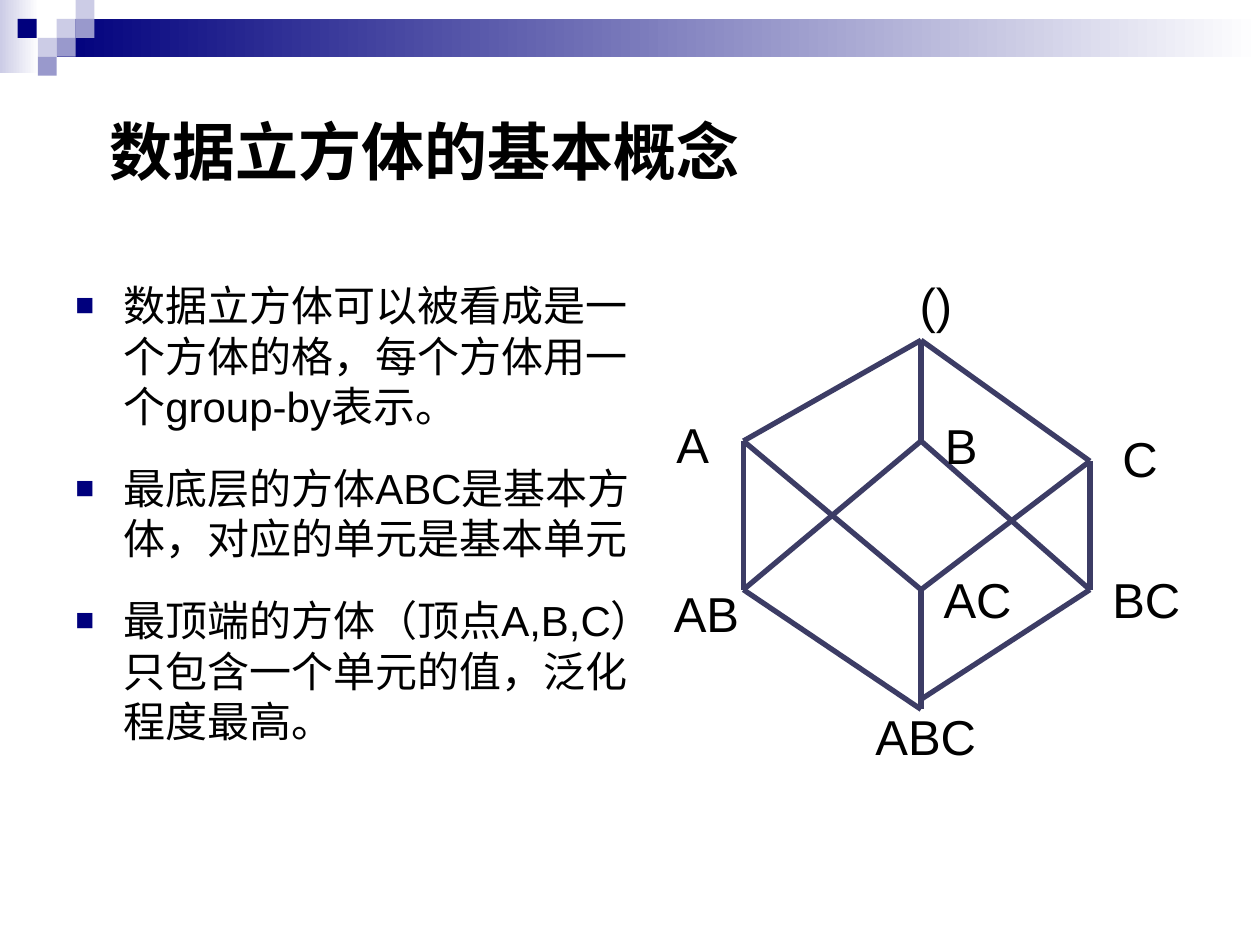
from lxml import etree
from pptx import Presentation
from pptx.dml.color import RGBColor
from pptx.enum.shapes import MSO_CONNECTOR, MSO_SHAPE
from pptx.enum.text import MSO_AUTO_SIZE
from pptx.oxml.ns import qn
from pptx.util import Inches, Pt

RECT = MSO_SHAPE.RECTANGLE
STRAIGHT = MSO_CONNECTOR.STRAIGHT
FIT_SHAPE = MSO_AUTO_SIZE.SHAPE_TO_FIT_TEXT

NAVY = RGBColor(0x00, 0x00, 0x7D)
LILAC = RGBColor(0xCC, 0xCC, 0xE6)
VIOLET = RGBColor(0x99, 0x99, 0xCC)
EDGE = RGBColor(0x3C, 0x3C, 0x65)
BLACK = RGBColor(0, 0, 0)
WHITE = RGBColor(0xFF, 0xFF, 0xFF)
LATIN, CJK = "Arial", "Noto Sans CJK SC"

TITLE = "数据立方体的基本概念"
BULLETS = [
    "数据立方体可以被看成是一个方体的格，每个方体用一个group-by表示。",
    "最底层的方体ABC是基本方体，对应的单元是基本单元",
    "最顶端的方体（顶点A,B,C）只包含一个单元的值，泛化程度最高。",
]

# Header: fading bars (left, top, width, height, colour) and squares (left, top, colour)
BARS = [(0, 0, 0.31, 0.58, LILAC), (0.45, 0.15, 9.55, 0.3, NAVY)]
SIDE = 0.15
SQUARES = [
    (0.45, 0.15, LILAC), (0.6, 0, LILAC), (0.6, 0.15, VIOLET), (0.3, 0.3, LILAC),
    (0.14, 0.15, NAVY), (0.45, 0.3, VIOLET), (0.3, 0.45, VIOLET),
]

# Lattice: name -> (vertex, label left and top, label width)
LEFT, MID, RIGHT = 5.9, 7.31, 8.65
LABEL_H = 0.57
NODES = {
    "()": ((MID, 2.7), (7.2, 2.13), 0.46),
    "A": ((LEFT, 3.5), (5.27, 3.24), 0.46),
    "B": ((MID, 3.5), (7.4, 3.25), 0.46),
    "C": ((RIGHT, 3.66), (8.81, 3.35), 0.48),
    "AB": ((LEFT, 4.68), (5.25, 4.58), 0.72),
    "AC": ((MID, 4.68), (7.39, 4.47), 0.74),
    "BC": ((RIGHT, 4.68), (8.73, 4.47), 0.75),
    "ABC": ((MID, 5.63), (6.85, 5.56), 1),
}
EDGES = [
    ("()", "A"), ("()", "C"), ("()", "B"), ("A", "AB"), ("B", "AB"), ("C", "BC"),
    ("B", "BC"), ("A", "AC"), ("C", "AC"), ("AB", "ABC"), ("AC", "ABC"), ("BC", "ABC"),
]
END_SHIFT = {("BC", "ABC"): -0.08}  # this edge meets the bottom stem a little higher


def add_rect(shapes, x, y, w, h):
    sp = shapes.add_shape(RECT, Inches(x), Inches(y), Inches(w), Inches(h))
    sp.shadow.inherit = False
    sp.line.fill.background()
    return sp


def add_box(shapes, x, y, w, h, wrap=False):
    tf = shapes.add_textbox(Inches(x), Inches(y), Inches(w), Inches(h)).text_frame
    tf.word_wrap = wrap
    if not wrap:
        tf.auto_size = FIT_SHAPE
    return tf


def add_run(p, text, size, font=LATIN, bold=False):
    r = p.add_run()
    r.text = text
    r.font.size, r.font.bold, r.font.name = Pt(size), bold, font
    r.font.color.rgb = BLACK
    etree.SubElement(r.font._element, qn("a:ea"), typeface=CJK)


def add_bullet(p):
    pPr = p._p.get_or_add_pPr()
    pPr.set("marL", str(Inches(0.38)))
    pPr.set("indent", str(-Inches(0.38)))
    color = etree.SubElement(pPr, qn("a:buClr"))
    etree.SubElement(color, qn("a:srgbClr"), val=str(NAVY))
    etree.SubElement(pPr, qn("a:buSzPct"), val="75000")
    etree.SubElement(pPr, qn("a:buFont"), typeface=LATIN)
    etree.SubElement(pPr, qn("a:buChar"), char="■")


prs = Presentation()
prs.slide_width, prs.slide_height = Inches(10), Inches(7.5)
s = prs.slides.add_slide(prs.slide_layouts[6])

# Header decoration
header = s.shapes.add_group_shape().shapes
for x, y, w, h, color in BARS:
    fill = add_rect(header, x, y, w, h).fill
    fill.gradient()
    fill.gradient_angle = 0
    for stop, stop_color, position in zip(fill.gradient_stops, (color, WHITE), (0, 1)):
        stop.color.rgb = stop_color
        stop.position = position
for x, y, color in SQUARES:
    fill = add_rect(header, x, y, SIDE, SIDE).fill
    fill.solid()
    fill.fore_color.rgb = color

# Title and bullets
tf = add_box(s.shapes, 0.77, 0.84, 5.2, 0.7)
add_run(tf.paragraphs[0], TITLE, 36, CJK, True)

tf = add_box(s.shapes, 0.5, 2.17, 4.89, 4.25, wrap=True)
for i, text in enumerate(BULLETS):
    p = tf.add_paragraph() if i else tf.paragraphs[0]
    add_bullet(p)
    p.space_before = Pt(18 if i else 0)
    add_run(p, text, 24)

# Lattice edges and labels
lattice = s.shapes.add_group_shape().shapes
for edge in EDGES:
    (x1, y1), (x2, y2) = (NODES[name][0] for name in edge)
    y2 += END_SHIFT.get(edge, 0)
    line = lattice.add_connector(STRAIGHT, Inches(x1), Inches(y1), Inches(x2), Inches(y2))
    line.line.color.rgb = EDGE
    line.line.width = Pt(3)
    etree.SubElement(line._element.spPr, qn("a:effectLst"))
for name, (_, (x, y), w) in NODES.items():
    add_run(add_box(lattice, x, y, w, LABEL_H).paragraphs[0], name, 28)

prs.save("out.pptx")
